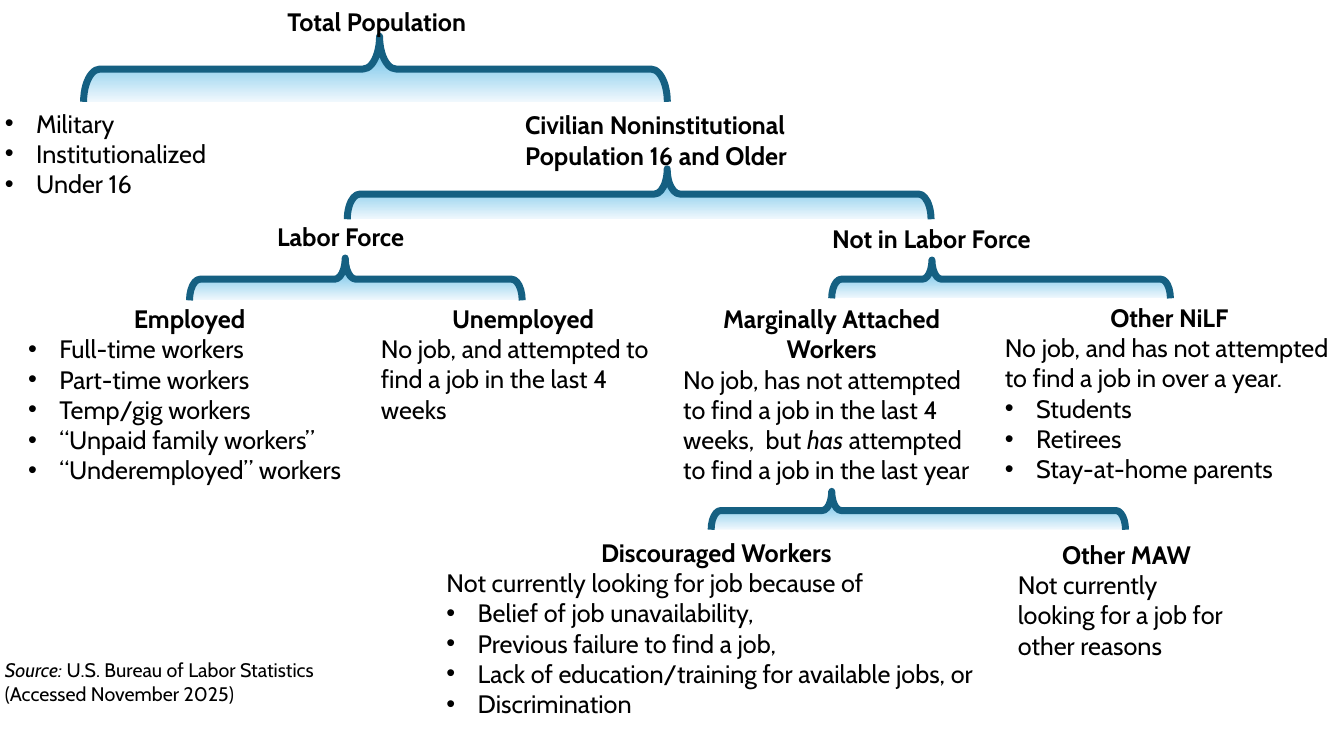
from copy import deepcopy
from dataclasses import dataclass

from lxml import etree
from pptx import Presentation
from pptx.dml.color import RGBColor
from pptx.enum.shapes import MSO_SHAPE
from pptx.enum.text import MSO_ANCHOR, MSO_AUTO_SIZE, PP_ALIGN
from pptx.oxml.ns import qn
from pptx.util import Inches, Pt

BRACE = MSO_SHAPE.LEFT_BRACE
TOP = MSO_ANCHOR.TOP
GROW = MSO_AUTO_SIZE.SHAPE_TO_FIT_TEXT
LEFT, CENTER = PP_ALIGN.LEFT, PP_ALIGN.CENTER

WIDTH, HEIGHT = Inches(13.33), Inches(7.5)
COLORS = {"text": "000000", "line": "156082",
          "pale": "F0F8FD", "blue": "74C4E9", "light": "A2D8F0"}
GRADIENT = [(0, "pale"), (0.74, "blue"), (0.83, "blue"), (1, "light")]
FONT = "Cabin"
BULLET_INDENT = Inches(0.31)
FRAME_FORMAT = {"word_wrap": True, "auto_size": GROW, "vertical_anchor": TOP}


@dataclass
class Box:
    """A rectangle in percent of the slide's width and height."""
    left: float
    top: float
    width: float
    height: float

    def emu(self) -> tuple[int, int, int, int]:
        return (round(WIDTH * self.left / 100), round(HEIGHT * self.top / 100),
                round(WIDTH * self.width / 100), round(HEIGHT * self.height / 100))


@dataclass
class Line:
    """One paragraph; words between asterisks are italic."""
    text: str
    bold: bool = False
    align: PP_ALIGN = LEFT
    bullet: bool = False


@dataclass
class Label:
    box: Box
    lines: list[Line]
    size: int = 18


@dataclass
class Brace:
    box: Box
    tip: float


def head(text: str, align: PP_ALIGN = CENTER) -> Line:
    return Line(text, bold=True, align=align)


def bullets(*items: str) -> list[Line]:
    return [Line(item, bullet=True) for item in items]


BRACES = [
    Brace(Box(6.22, 4.8, 43.43, 8.67), 0.493),
    Brace(Box(25.84, 22.33, 43.43, 6.67), 0.452),
    Brace(Box(14.1, 34.13, 24.75, 5.6), 0.532),
    Brace(Box(61.88, 34.4, 25.2, 5.07), 0.704),
    Brace(Box(52.91, 65, 30.83, 5.07), 0.709),
]
TITLE = Label(Box(20.63, 0.13, 15.53, 5.33), [head("Total Population", LEFT)])
EXCLUDED = Label(Box(-0.38, 13.6, 17.33, 13.47),
                 bullets("Military", "Institutionalized", "Under 16"))
LABELS = [
    Label(Box(38.33, 13.87, 22.65, 9.47),
          [head("Civilian Noninstitutional Population 16 and Older", LEFT)]),
    Label(Box(19.88, 28.67, 11.93, 5.33), [head("Labor Force", LEFT)]),
    Label(Box(57.53, 28.93, 23.55, 5.33), [head("Not in Labor Force")]),
    Label(Box(1.35, 39.47, 25.5, 25.6),
          [head("Employed"),
           *bullets("Full-time workers", "Part-time workers", "Temp/gig workers",
                    "“Unpaid family workers”", "“Underemployed” workers")]),
    Label(Box(27.6, 39.47, 22.65, 17.47),
          [head("Unemployed"),
           Line("No job, and attempted to find a job in the last 4 weeks")]),
    Label(Box(50.1, 39.47, 23.55, 25.6),
          [head("Marginally Attached Workers"),
           Line("No job, has not attempted to find a job in the last 4 weeks,  "
                "but *has* attempted to find a job in the last year")]),
    Label(Box(74.03, 39.33, 25.95, 25.6),
          [head("Other NiLF"),
           Line("No job, and has not attempted to find a job in over a year."),
           *bullets("Students", "Retirees", "Stay-at-home parents")]),
    Label(Box(32.48, 70.4, 41.63, 25.6),
          [head("Discouraged Workers"),
           Line("Not currently looking for job because of"),
           *bullets("Belief of job unavailability,", "Previous failure to find a job,",
                    "Lack of education/training for available jobs, or",
                    "Discrimination")]),
    Label(Box(75, 70.67, 17.63, 17.47),
          [head("Other MAW"),
           Line("Not currently looking for a job for other reasons")]),
    Label(Box(-0.38, 86.4, 26.25, 7.6),
          [Line("*Source: *U.S. Bureau of Labor Statistics (Accessed November 2025)")],
          size=14),
]


def rgb(name: str) -> RGBColor:
    return RGBColor.from_string(COLORS[name])


def apply(target, values: dict) -> None:
    for name, value in values.items():
        setattr(target, name, value)


def place(sp, box: Box) -> None:
    apply(sp, dict(zip(("left", "top", "width", "height"), box.emu())))


def set_bullet(p, bullet: bool) -> None:
    pPr = p._p.get_or_add_pPr()
    indent = BULLET_INDENT if bullet else 0
    pPr.set("marL", str(indent))
    pPr.set("indent", str(-indent))
    if bullet:
        etree.SubElement(pPr, qn("a:buFont")).set("typeface", "Arial")
        etree.SubElement(pPr, qn("a:buChar")).set("char", "•")
    else:
        etree.SubElement(pPr, qn("a:buNone"))


def write_label(sp, label: Label) -> None:
    place(sp, label.box)
    tf = sp.text_frame
    apply(tf, FRAME_FORMAT)
    for i, line in enumerate(label.lines):
        p = tf.add_paragraph() if i else tf.paragraphs[0]
        apply(p, {"alignment": line.align, "space_before": Pt(0)})
        set_bullet(p, line.bullet)
        for j, part in enumerate(line.text.split("*")):
            if part:
                r = p.add_run()
                r.text = part
                apply(r.font, {"name": FONT, "size": Pt(label.size),
                               "bold": line.bold, "italic": j % 2 == 1})
                r.font.color.rgb = rgb("text")


def fill_gradient(sp) -> None:
    sp.fill.gradient()
    sp.fill.gradient_angle = 180
    stop_list = sp._element.spPr.find(".//" + qn("a:gsLst"))
    while len(stop_list) < len(GRADIENT):
        stop_list.append(deepcopy(stop_list[0]))
    for stop, (position, color) in zip(sp.fill.gradient_stops, GRADIENT):
        stop.position = position
        stop.color.rgb = rgb(color)


def add_brace(s, brace: Brace) -> None:
    """Add a left brace turned upwards so that it fills its box, behind all text."""
    left, top, span, depth = brace.box.emu()
    shift = (span - depth) // 2
    sp = s.shapes.add_shape(BRACE, left + shift, top - shift, depth, span)
    sp.rotation = 90
    sp.adjustments[0] = 0.25
    sp.adjustments[1] = brace.tip
    sp.shadow.inherit = False
    fill_gradient(sp)
    sp.line.color.rgb = rgb("line")
    sp.line.width = Pt(5)
    sp._element.getparent().insert(2, sp._element)


def main() -> None:
    prs = Presentation()
    prs.slide_width, prs.slide_height = WIDTH, HEIGHT
    s = prs.slides.add_slide(prs.slide_layouts[1])
    write_label(s.shapes.title, TITLE)
    write_label(s.placeholders[1], EXCLUDED)
    for brace in BRACES:
        add_brace(s, brace)
    for label in LABELS:
        write_label(s.shapes.add_textbox(*label.box.emu()), label)
    prs.save("out.pptx")


if __name__ == "__main__":
    main()
